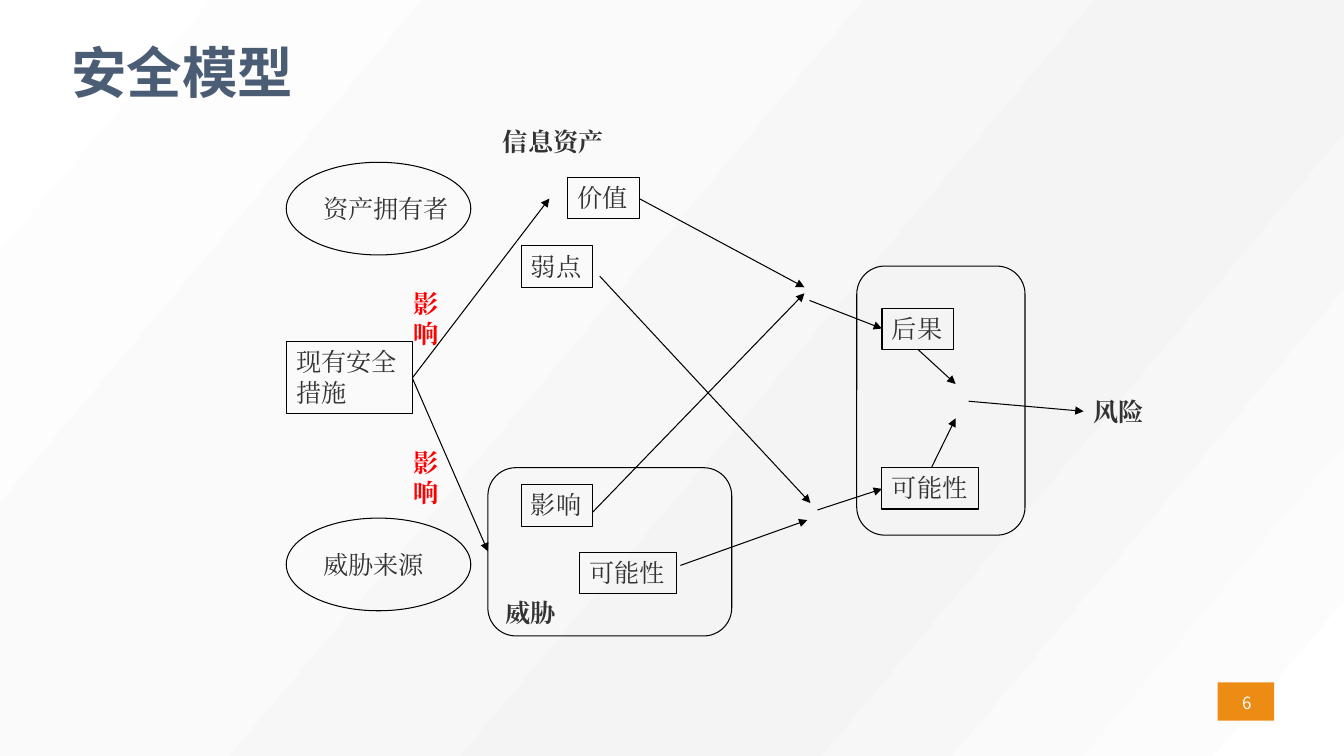
from lxml import etree
from pptx import Presentation
from pptx.dml.color import RGBColor
from pptx.enum.shapes import MSO_CONNECTOR, MSO_SHAPE as SHAPE
from pptx.enum.text import MSO_ANCHOR as ANCHOR, MSO_AUTO_SIZE as AUTO, PP_ALIGN as ALIGN
from pptx.oxml.ns import qn
from pptx.util import Pt

COLORS = {
    "title": "4B5D75", "text": "333333", "impact": "FF0000",
    "line": "000000", "badge": "ED8C14", "page": "FFFFFF",
}
SANS, SERIF = "Noto Sans CJK SC", "Times New Roman"

prs = Presentation()
prs.slide_width, prs.slide_height = Pt(960), Pt(540)
slide = prs.slides.add_slide(prs.slide_layouts[6])


def write(shape, text, color="text", size=18, font=SERIF, bold=False,
          wrap=False, anchor=ANCHOR.TOP, align=ALIGN.LEFT, grow=True):
    frame = shape.text_frame
    frame.text = text
    frame.word_wrap = wrap
    frame.vertical_anchor = anchor
    frame.auto_size = AUTO.SHAPE_TO_FIT_TEXT if grow else AUTO.NONE
    paragraph = frame.paragraphs[0]
    paragraph.alignment = align
    run = paragraph.runs[0]
    run.font.name, run.font.size, run.font.bold = font, Pt(size), bold
    run.font.color.rgb = RGBColor.from_string(COLORS[color])
    # East Asian characters follow the same font name
    etree.SubElement(run._r.get_or_add_rPr(), qn("a:ea"), typeface=font)


def outline(kind, x, y, w, h):
    shape = slide.shapes.add_shape(kind, Pt(x), Pt(y), Pt(w), Pt(h))
    shape.shadow.inherit = False
    shape.fill.background()
    shape.line.color.rgb = RGBColor.from_string(COLORS["line"])
    shape.line.width = Pt(0.75)
    return shape


# Background gradient
backdrop = slide.background.fill
backdrop.gradient()
backdrop.gradient_angle = 320
stops = slide._element.find(".//" + qn("a:gsLst"))
stops.clear()
for percent, shade in [(0, "FFFFFF"), (32, "FAFAFA"), (67, "F4F4F4"), (100, "FFFFFF")]:
    stop = etree.SubElement(stops, qn("a:gs"), pos=str(percent * 1000))
    etree.SubElement(stop, qn("a:srgbClr"), val=shade)

# Title
title = slide.shapes.add_textbox(Pt(44), Pt(20), Pt(862), Pt(62))
write(title, "安全模型", "title", 39.6, SANS, bold=True, wrap=True,
      anchor=ANCHOR.MIDDLE, grow=False)

# Page number
badge = outline(SHAPE.RECTANGLE, 869.8, 487.4, 40.3, 27.4)
badge.fill.solid()
badge.fill.fore_color.rgb = RGBColor.from_string(COLORS["badge"])
badge.line.fill.background()
page = slide.shapes.add_textbox(Pt(868.3), Pt(486.7), Pt(44.6), Pt(31))
write(page, "6", "page", 12, SANS, wrap=True, anchor=ANCHOR.MIDDLE,
      align=ALIGN.CENTER, grow=False)

# Frames around the threat and the risk factors
for frame_box in [(348.5, 334.1, 174.2, 120.2), (612, 190.1, 120.2, 192.2)]:
    outline(SHAPE.ROUNDED_RECTANGLE, *frame_box)

# Actors
for actor, y in [("资产拥有者", 115.9), ("威胁来源", 370.1)]:
    write(outline(SHAPE.OVAL, 204.5, y, 131.8, 66.2), actor,
          anchor=ANCHOR.MIDDLE, grow=False)

# Factors: the box width follows the number of characters
for factor, x, y in [
    ("价值", 405.4, 126.7), ("弱点", 372.2, 175.7),
    ("影响", 372.2, 346.3), ("可能性", 414, 394.6),
    ("后果", 630, 220.3), ("可能性", 630, 334.1),
]:
    write(outline(SHAPE.RECTANGLE, x, y, 15.1 + 18 * len(factor), 29.5), factor)

# Existing controls
controls = outline(SHAPE.RECTANGLE, 204.5, 244.1, 90, 51.1)
write(controls, "现有安全措施", wrap=True)

# Group headings
for heading, x, y in [("信息资产", 352.1, 86.4), ("威胁", 354.2, 423.4), ("风险", 774, 279.4)]:
    label = slide.shapes.add_textbox(Pt(x), Pt(y), Pt(14.4 + 18 * len(heading)), Pt(28.8))
    write(label, heading, bold=True)

# Impact labels
for y in (202.3, 316.1):
    impact = slide.shapes.add_textbox(Pt(288), Pt(y), Pt(48.2), Pt(50.4))
    write(impact, "影响", "impact", bold=True, wrap=True)

# Arrows
for x1, y1, x2, y2 in [
    (294.5, 270, 392.4, 141.8),      # controls to value
    (294.5, 270, 348.5, 393.8),      # controls to threat
    (456.5, 141.8, 574.6, 205.2),    # value to consequence
    (423.4, 365.8, 574.6, 209.5),    # impact to consequence
    (578.2, 214.6, 630, 234.7),
    (428.4, 197.3, 578.9, 359.3),    # weakness to likelihood
    (486, 403.9, 576.7, 371.5),      # threat likelihood to likelihood
    (583.9, 364.3, 630, 349.2),
    (655.9, 249.8, 682.6, 274.3),    # consequence and likelihood to risk
    (665.3, 334.1, 682.6, 298.8),
    (691.9, 286.6, 774, 293.8),
]:
    arrow = slide.shapes.add_connector(MSO_CONNECTOR.STRAIGHT, Pt(x1), Pt(y1), Pt(x2), Pt(y2))
    arrow.line.color.rgb = RGBColor.from_string(COLORS["line"])
    arrow.line.width = Pt(0.75)
    etree.SubElement(arrow.line._get_or_add_ln(), qn("a:tailEnd"), type="triangle")
    etree.SubElement(arrow._element.spPr, qn("a:effectLst"))

prs.save("out.pptx")
